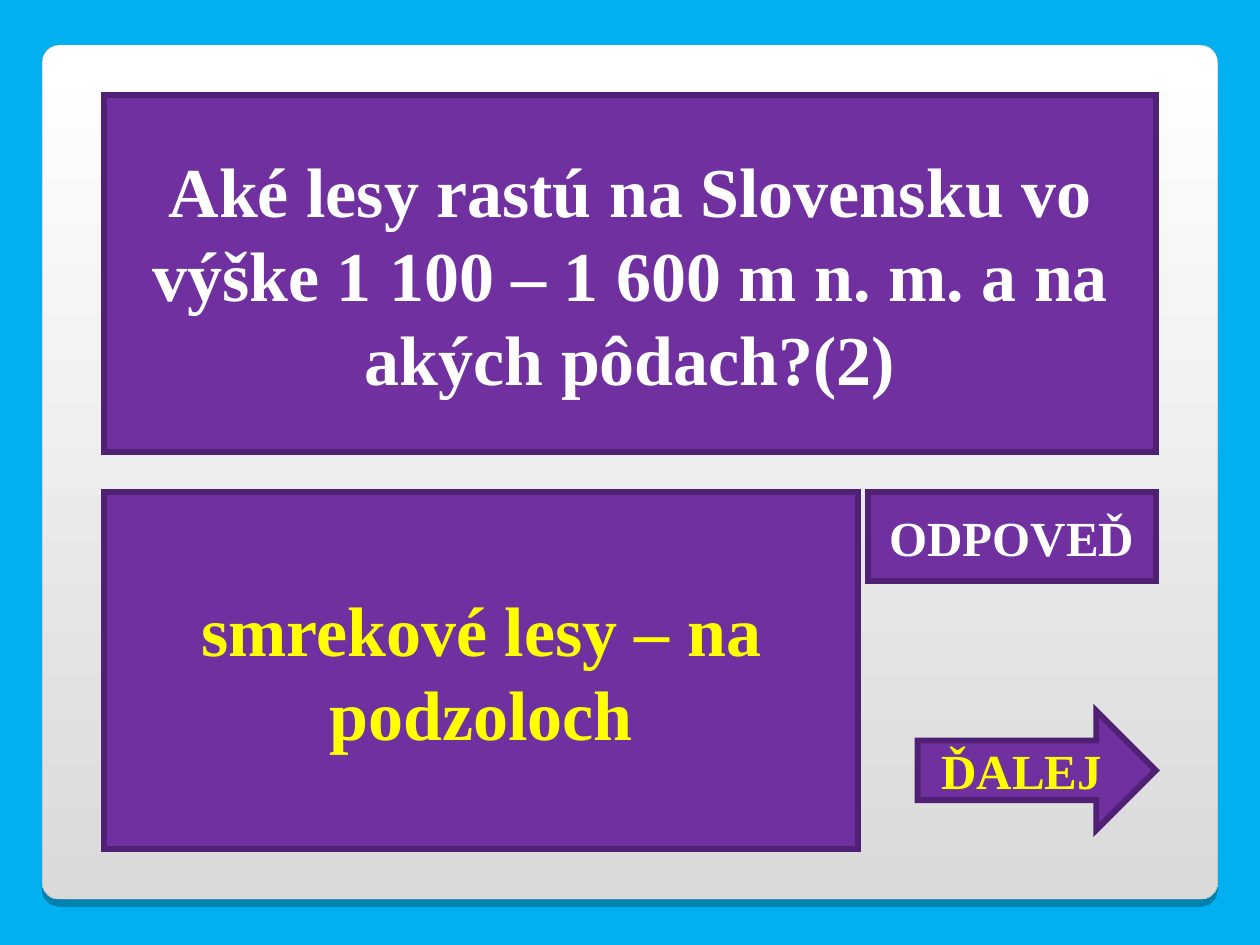
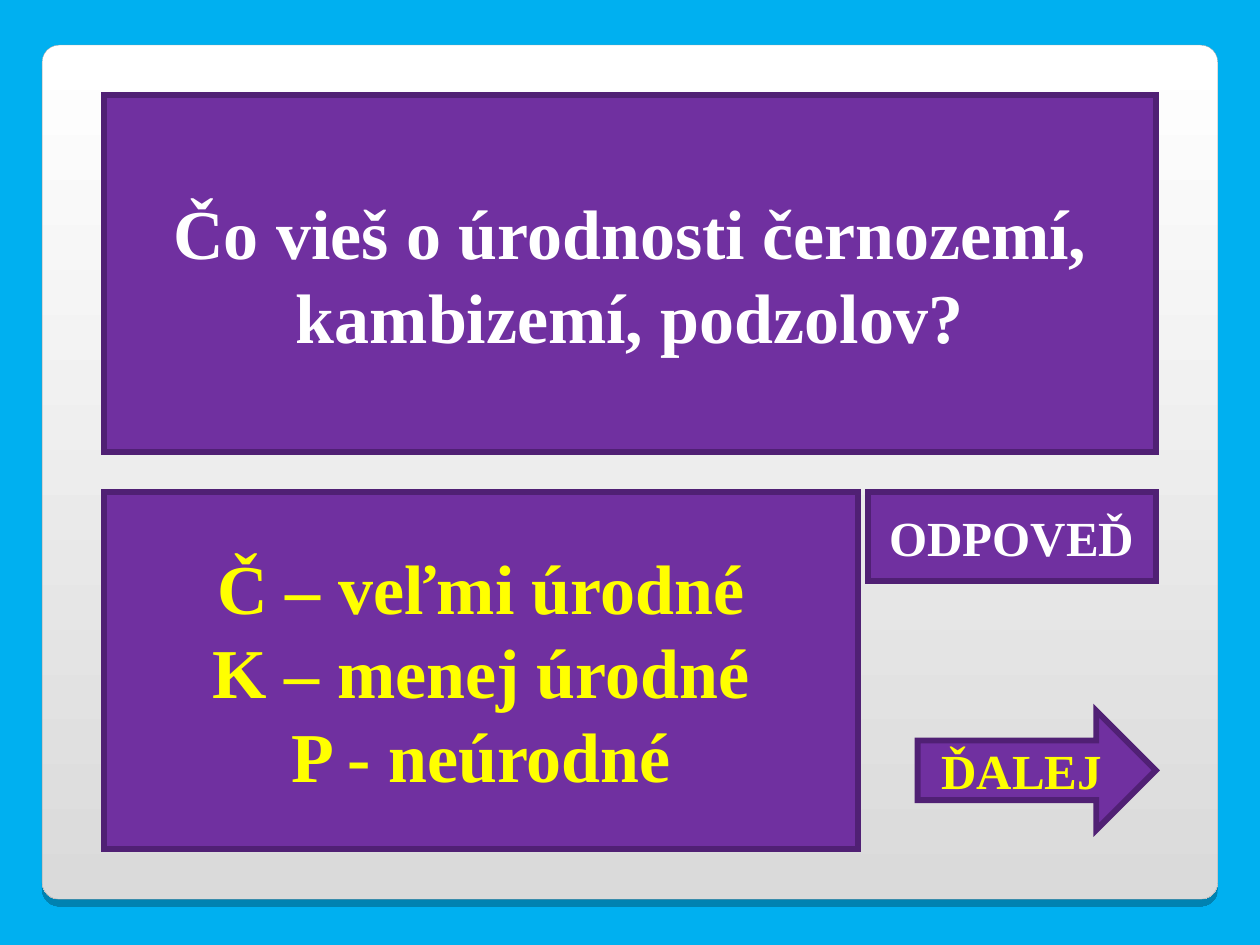
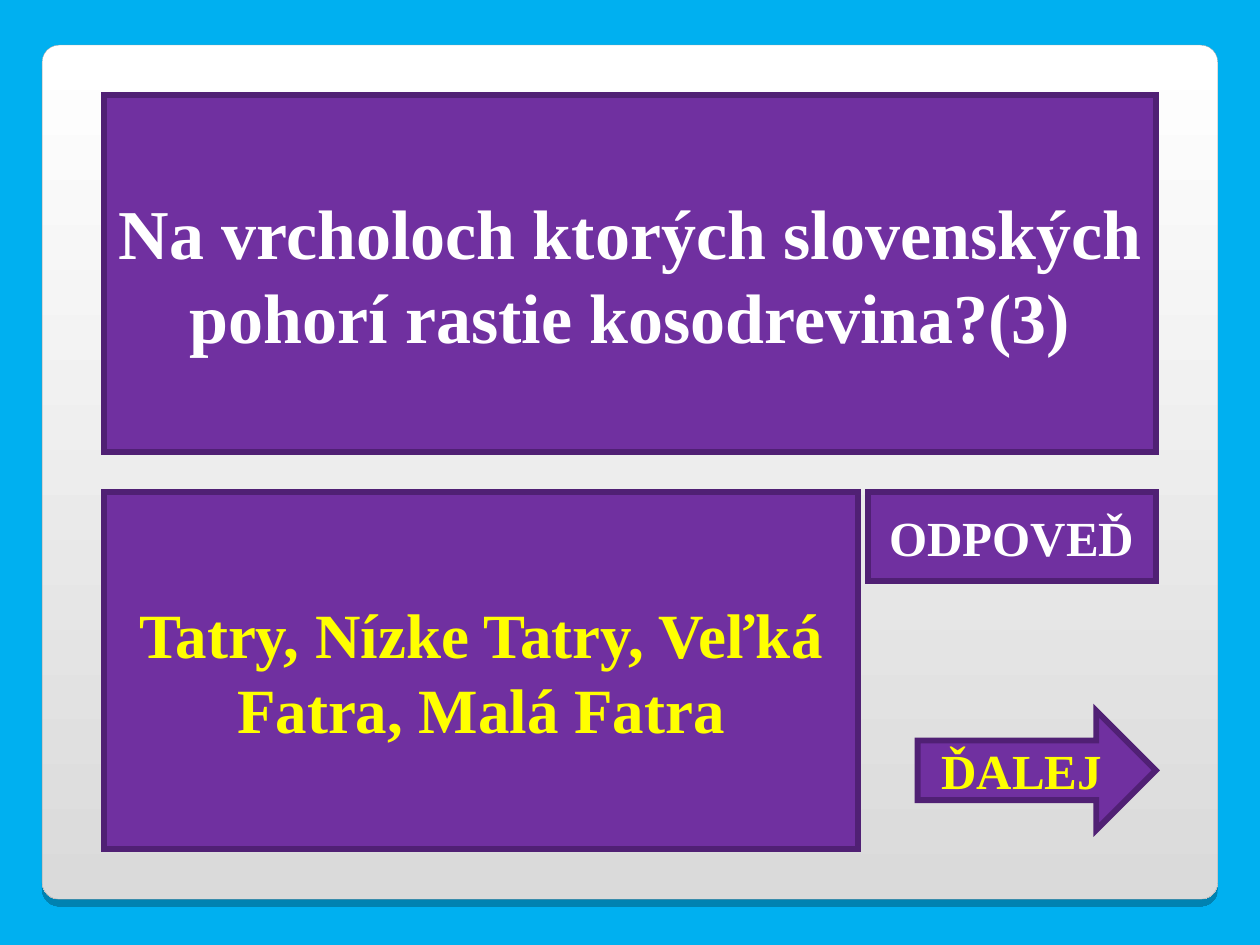
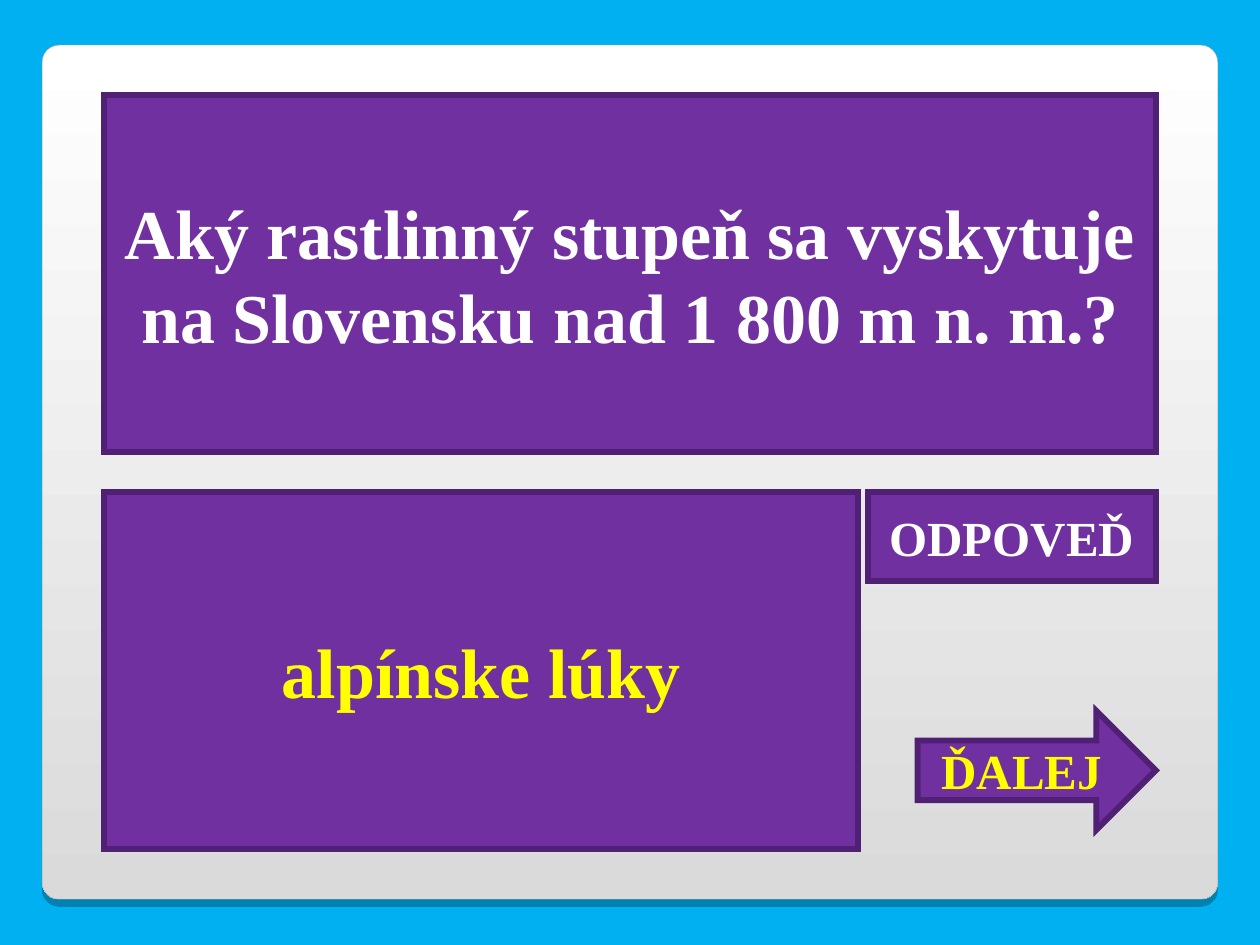
from dataclasses import dataclass

from pptx import Presentation
from pptx import util as u
from pptx.dml.color import RGBColor
from pptx.enum import shapes, text
from pptx.oxml import parse_xml
from pptx.oxml import ns


@dataclass(frozen=True)
class Theme:
    """Colours, font and type sizes of the quiz."""
    sky: str = "00B0F0"
    box: str = "7030A0"
    edge: str = "502074"
    ask: str = "FFFFFF"
    reply: str = "FFFF00"
    top: str = "FFFFFF"
    base: str = "DADADA"
    rim: str = "A4A3A3"
    shade: str = "000000"
    font: str = "Times New Roman"
    big: int = 40
    mid: int = 36
    small: int = 28
    stroke: float = 3.34
    hair: float = 0.17


# Edges shared by all boxes, in cm
LEFT, RIGHT = 2.1, 23.3
HIGH, LOW, TALL = 1.92, 9.92, 7.2

QUIZ = [
    ("Aké lesy rastú na Slovensku vo výške 1 100 – 1 600 m n. m. a na akých pôdach?(2)",
     ["smrekové lesy – na podzoloch"], "big"),
    ("Čo vieš o úrodnosti černozemí, kambizemí, podzolov?",
     ["Č – veľmi úrodné", "K – menej úrodné", "P - neúrodné"], "big"),
    ("Na vrcholoch ktorých slovenských pohorí rastie kosodrevina?(3)",
     ["Tatry, Nízke Tatry, Veľká Fatra, Malá Fatra"], "mid"),
    ("Aký rastlinný stupeň sa vyskytuje na Slovensku nad 1 800 m n. m.?",
     ["alpínske lúky"], "big"),
]


def rgb(code):
    return RGBColor.from_string(code)


def apply(item, **values):
    for name, value in values.items():
        setattr(item, name, value)


class Deck:
    def __init__(self, theme):
        self.theme = theme
        self.prs = Presentation()
        apply(self.prs, slide_width=u.Cm(25.4), slide_height=u.Cm(19.05))
        back = self.prs.slide_master.background.fill
        back.solid()
        back.fore_color.rgb = rgb(theme.sky)
        self.slide = None

    def new(self):
        self.slide = self.prs.slides.add_slide(self.prs.slide_layouts[5])
        self.panel()

    def add(self, kind, *at):
        return self.slide.shapes.add_shape(kind, *map(u.Cm, at))

    def panel(self):
        """Lay the rounded panel behind everything else."""
        theme = self.theme
        panel = self.add(shapes.MSO_SHAPE.ROUNDED_RECTANGLE, 0.85, 0.91, 23.7, 17.22)
        panel.adjustments[0] = 0.02
        panel.fill.gradient()
        panel.fill.gradient_angle = 270
        for stop, code in zip(panel.fill.gradient_stops, (theme.top, theme.base)):
            stop.color.rgb = rgb(code)
        panel.line.color.rgb = rgb(theme.rim)
        panel.line.width = u.Pt(theme.hair)

        # Hard shadow below the panel
        panel.shadow.inherit = False
        panel.element.spPr.find(ns.qn("a:effectLst")).append(parse_xml(
            f'<a:outerShdw {ns.nsdecls("a")} blurRad="0" dist="{u.Pt(4)}" dir="5400000">'
            f'<a:srgbClr val="{theme.shade}"><a:alpha val="25000"/></a:srgbClr>'
            '</a:outerShdw>'))
        self.slide.shapes.element.insert(2, panel.element)

    def paint(self, shape, lines, size, code):
        """Give a shape the purple look and its centred text."""
        theme = self.theme
        shape.shadow.inherit = False
        shape.fill.solid()
        shape.fill.fore_color.rgb = rgb(theme.box)
        shape.line.color.rgb = rgb(theme.edge)
        shape.line.width = u.Pt(theme.stroke)
        shape.element.spPr.find(ns.qn("a:ln")).append(
            parse_xml(f'<a:miter {ns.nsdecls("a")} lim="800000"/>'))

        frame = shape.text_frame
        frame.text = "\n".join(lines)
        apply(frame, word_wrap=True, auto_size=text.MSO_AUTO_SIZE.NONE,
              vertical_anchor=text.MSO_ANCHOR.MIDDLE)
        for para in frame.paragraphs:
            para.alignment = text.PP_ALIGN.CENTER
            for run in para.runs:
                apply(run.font, name=theme.font, size=u.Pt(size), bold=True)
                run.font.color.rgb = rgb(code)

    def title(self, words):
        shape = self.slide.shapes.title
        apply(shape, left=u.Cm(LEFT), top=u.Cm(HIGH),
              width=u.Cm(RIGHT - LEFT), height=u.Cm(TALL))
        self.paint(shape, [words], self.theme.big, self.theme.ask)

    def card(self, lines, size, code, *at):
        shape = self.add(shapes.MSO_SHAPE.RECTANGLE, *at)
        self.paint(shape, lines, size, code)

    def arrow(self, words, *at):
        shape = self.add(shapes.MSO_SHAPE.RIGHT_ARROW, *at)
        self.paint(shape, [words], self.theme.small, self.theme.reply)


def main():
    theme = Theme()
    deck = Deck(theme)
    for ask, reply, size in QUIZ:
        deck.new()
        # Question, answer, then the two buttons
        deck.title(ask)
        deck.card(reply, getattr(theme, size), theme.reply, LEFT, LOW, 15.2, TALL)
        deck.card(["ODPOVEĎ"], theme.small, theme.ask, RIGHT - 5.8, LOW, 5.8, 1.8)
        deck.arrow("ĎALEJ", RIGHT - 4.8, 14.33, 4.8, 2.4)
    deck.prs.save("out.pptx")


if __name__ == "__main__":
    main()
